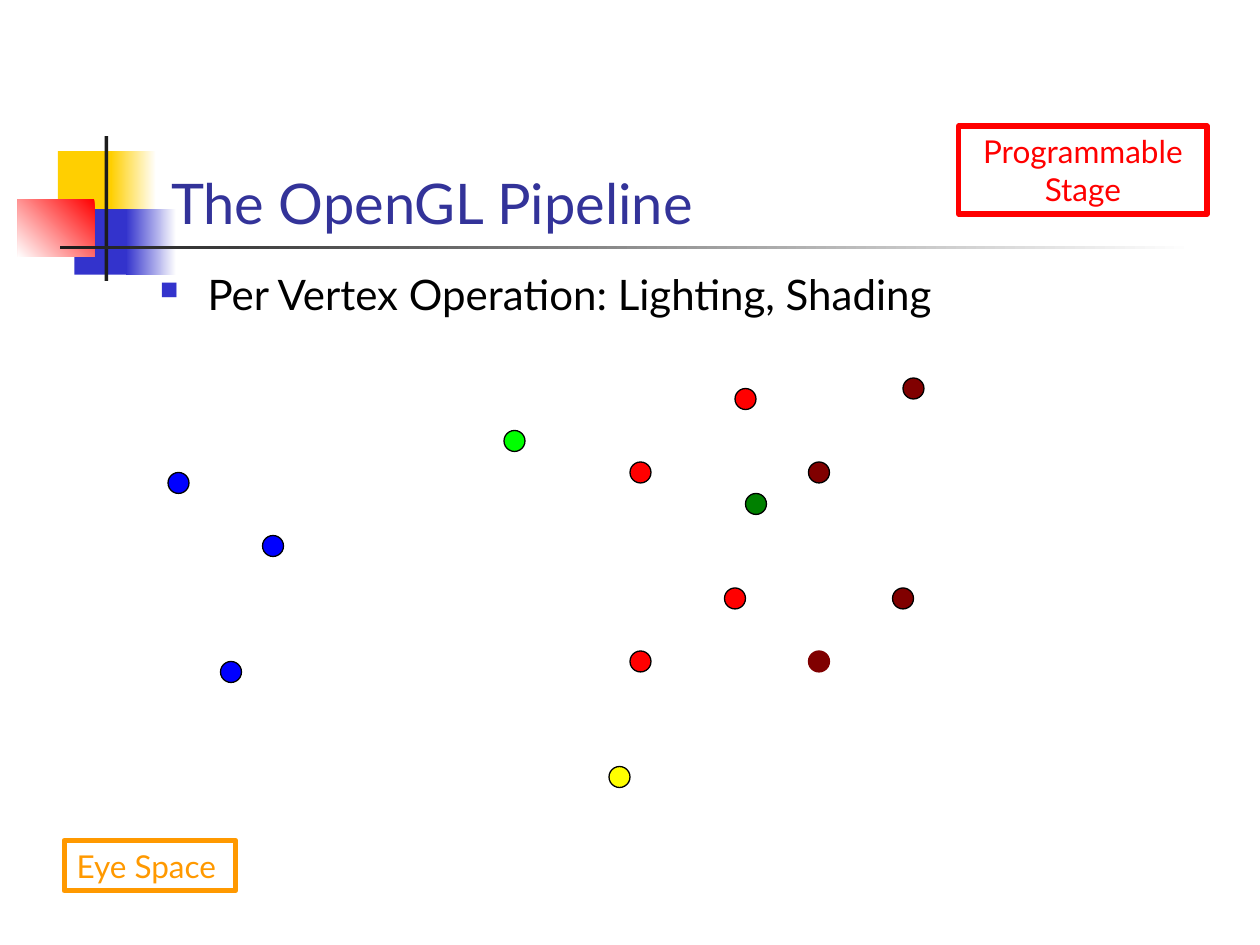
from typing import NamedTuple

from pptx import Presentation
from pptx.dml.color import RGBColor
from pptx.enum.shapes import MSO_SHAPE as Kind
from pptx.enum.text import MSO_ANCHOR as Anchor, PP_ALIGN as Align
from pptx.oxml import parse_xml
from pptx.oxml.ns import nsdecls
from pptx.util import Inches, Pt

COLS, ROWS = 100, 75  # page grid, one cell is a tenth of an inch
WIDE, HIGH = Inches(10), Inches(7.5)
STEP = WIDE / 120  # finer grid for the vertices
FONT = "Lato"
HUES = {
    "white": "FFFFFF", "black": "000000", "ink": "1C1C1C",
    "gold": "FFCF01", "indigo": "3333CC", "title": "333399",
    "red": "FF0000", "maroon": "800000", "lime": "00FF00",
    "green": "008000", "yellow": "FFFF00", "blue": "0000FF",
    "orange": "FF9900",
}


class Area(NamedTuple):
    col: float
    row: float
    cols: float
    rows: float

    def place(self) -> tuple:
        return (int(self.col * WIDE / COLS), int(self.row * HIGH / ROWS),
                int(self.cols * WIDE / COLS), int(self.rows * HIGH / ROWS))


class Block(NamedTuple):
    area: Area
    start: str
    end: str = ""  # second hue of a fade
    angle: int = 0  # counter-clockwise


class Dot(NamedTuple):
    col: int
    row: int
    fill: str
    line: str = "black"


class Tag(NamedTuple):
    area: Area
    text: str
    hue: str
    align: Align


BLOCKS = [
    Block(Area(4.6, 12, 4.8, 5.2), "gold"),
    Block(Area(8.8, 12, 3.6, 5.2), "white", "gold", 180),
    Block(Area(5.9, 16.6, 4.6, 5.2), "indigo"),
    Block(Area(10, 16.6, 4, 5.2), "white", "indigo", 180),
    Block(Area(1.4, 15.8, 6.1, 4.6), "red", "white", 225),
    Block(Area(8.3, 10.8, 0.3, 11.5), "ink"),
    Block(Area(4.8, 19.5, 90, 0.3), "white", "ink", 180),
]
DOTS = [
    # Lights
    Dot(48, 41, "lime"), Dot(58, 73, "yellow"), Dot(71, 47, "green"),
    # Box corners
    Dot(77, 44, "maroon"), Dot(60, 44, "red"),
    Dot(77, 62, "maroon", "maroon"), Dot(60, 62, "red"),
    Dot(70, 37, "red"), Dot(69, 56, "red"),
    Dot(86, 36, "maroon"), Dot(85, 56, "maroon"),
    # Triangle corners
    Dot(16, 45, "blue"), Dot(25, 51, "blue"), Dot(21, 63, "blue"),
]
TAGS = [
    Tag(Area(5.1, 66.7, 13.6, 4), "Eye Space", "orange", Align.LEFT),
    Tag(Area(76.1, 10, 19.7, 7), "Programmable\nStage", "red", Align.CENTER),
]


def tint(name: str) -> RGBColor:
    return RGBColor.from_string(HUES[name])


def write(frame, text: str, size: int, hue: str, align=Align.LEFT,
          anchor=Anchor.TOP) -> None:
    frame.text = text
    frame.word_wrap = True
    frame.vertical_anchor = anchor
    for para in frame.paragraphs:
        para.alignment = align
        for run in para.runs:
            run.font.name, run.font.size = FONT, Pt(size)
            run.font.color.rgb = tint(hue)


def draw_block(shapes, block: Block) -> None:
    shape = shapes.add_shape(Kind.RECTANGLE, *block.area.place())
    shape.shadow.inherit = False
    shape.line.fill.background()
    if block.end:
        shape.fill.gradient()
        shape.fill.gradient_angle = block.angle
        for stop, name in zip(shape.fill.gradient_stops,
                              (block.start, block.end)):
            stop.color.rgb = tint(name)
    else:
        shape.fill.solid()
        shape.fill.fore_color.rgb = tint(block.start)


def draw_dot(shapes, dot: Dot) -> None:
    size = int(2 * STEP)
    shape = shapes.add_shape(Kind.OVAL, int(dot.col * STEP),
                             int(dot.row * STEP), size, size)
    shape.shadow.inherit = False
    shape.fill.solid()
    shape.fill.fore_color.rgb = tint(dot.fill)
    shape.line.color.rgb = tint(dot.line)
    shape.line.width = Pt(0.75)


def draw_tag(shapes, tag: Tag) -> None:
    shape = shapes.add_shape(Kind.RECTANGLE, *tag.area.place())
    shape.shadow.inherit = False
    shape.fill.background()
    shape.line.color.rgb = tint(tag.hue)
    shape.line.width = Pt(3)
    write(shape.text_frame, tag.text, 18, tag.hue, tag.align)


def add_bullet(para) -> None:
    props = para._p.get_or_add_pPr()
    props.set("marL", str(Inches(0.38)))
    props.set("indent", str(Inches(-0.38)))
    space = nsdecls("a")
    for part in (f'<a:buClr {space}><a:srgbClr val="{HUES["indigo"]}"/></a:buClr>',
                 f'<a:buSzPct {space} val="60000"/>',
                 f'<a:buChar {space} char="■"/>'):
        props.append(parse_xml(part))


def main() -> None:
    deck = Presentation()
    deck.slide_width, deck.slide_height = WIDE, HIGH
    shapes = deck.slides.add_slide(deck.slide_layouts[6]).shapes

    # Corner ornament and rule
    for block in BLOCKS:
        draw_block(shapes, block)

    # Title and bullet
    title = shapes.add_textbox(*Area(12.6, 6.7, 85.2, 12.5).place())
    write(title.text_frame, "The OpenGL Pipeline", 32, "title",
          anchor=Anchor.BOTTOM)
    body = shapes.add_textbox(*Area(11.7, 20.8, 85, 45).place())
    write(body.text_frame, "Per Vertex Operation: Lighting, Shading", 24, "black")
    add_bullet(body.text_frame.paragraphs[0])

    # Vertices and stage labels
    for dot in DOTS:
        draw_dot(shapes, dot)
    for tag in TAGS:
        draw_tag(shapes, tag)

    deck.save("out.pptx")


if __name__ == "__main__":
    main()
